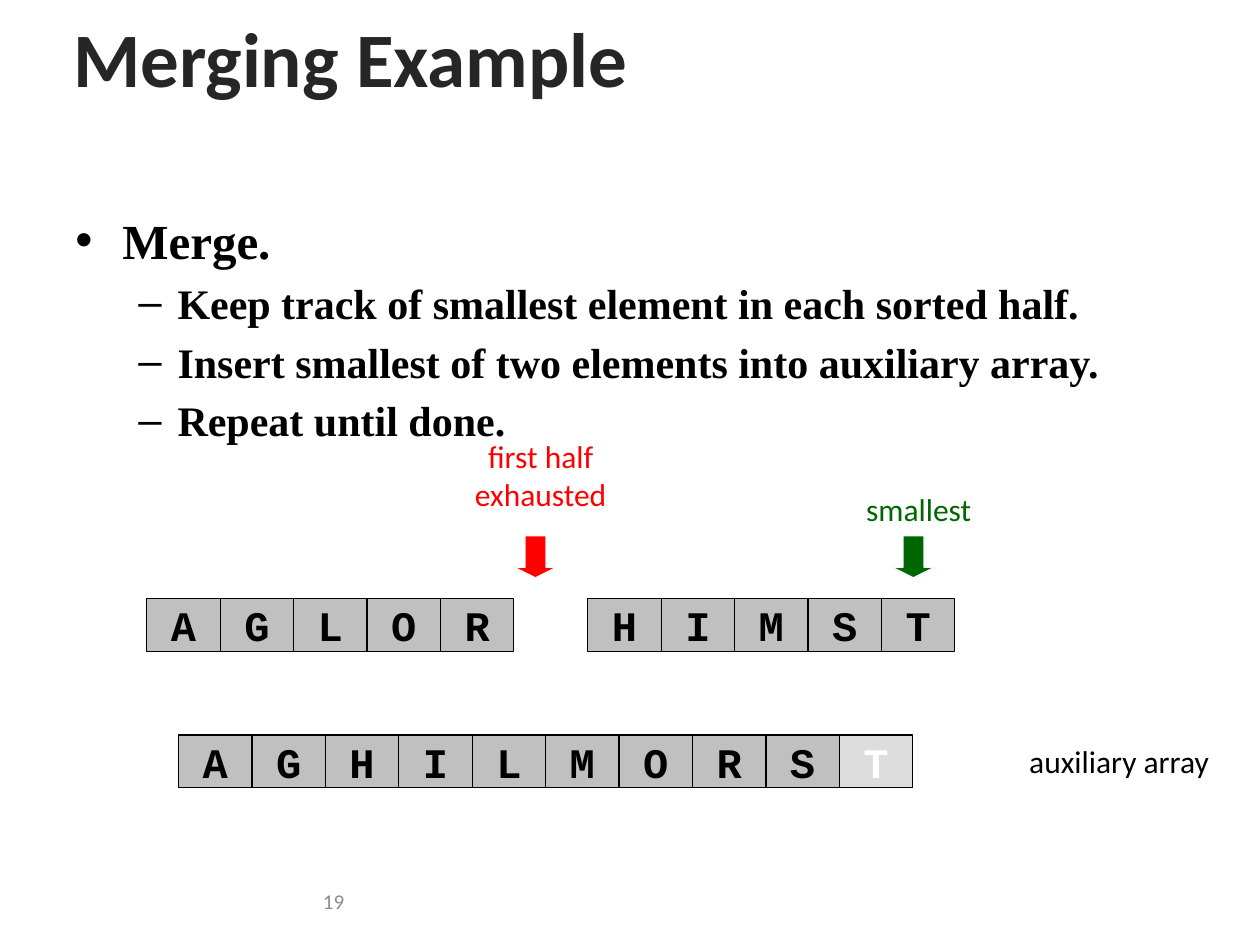
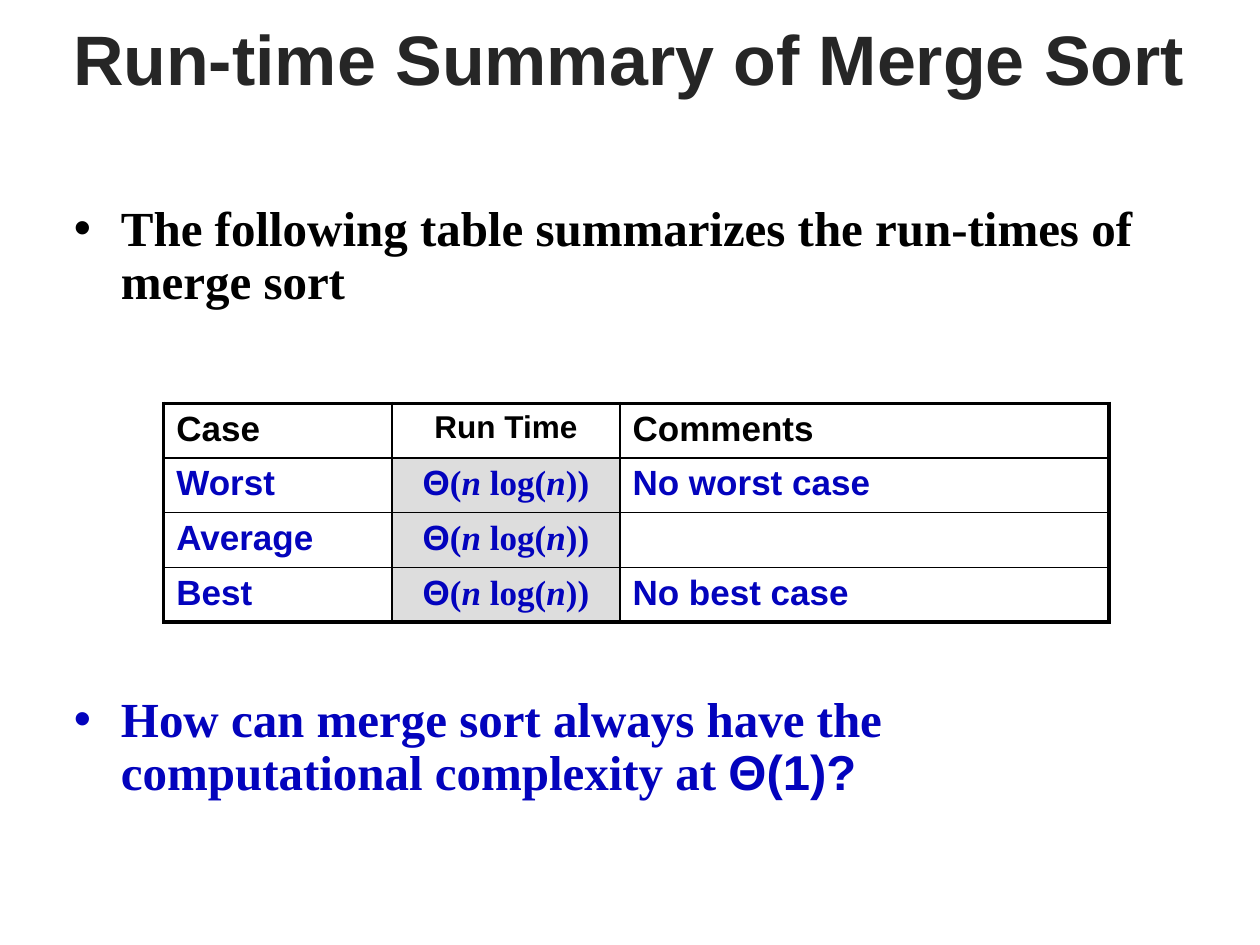
import pptx
import pptx.util
import pptx.dml.color
import pptx.enum.shapes
import pptx.enum.text
import pptx.oxml.ns
from lxml import etree

Cm = pptx.util.Cm
Pt = pptx.util.Pt
RGBColor = pptx.dml.color.RGBColor
PP_ALIGN = pptx.enum.text.PP_ALIGN
MSO_ANCHOR = pptx.enum.text.MSO_ANCHOR
MSO_SHAPE = pptx.enum.shapes.MSO_SHAPE
qn = pptx.oxml.ns.qn

# Colours and fonts
BLACK = RGBColor(0, 0, 0)
WHITE = RGBColor(0xFF, 0xFF, 0xFF)
TITLE_GRAY = RGBColor(0x26, 0x26, 0x26)
NUMBER_GRAY = RGBColor(0x8C, 0x8C, 0x8C)
CELL_GRAY = RGBColor(0xC0, 0xC0, 0xC0)
LIGHT_GRAY = RGBColor(0xDD, 0xDD, 0xDD)
ARROW_EDGE = RGBColor(0xF8, 0xF8, 0xF8)
RED = RGBColor(0xFF, 0, 0)
GREEN = RGBColor(0, 0x66, 0)
BLUE = RGBColor(0x03, 0x03, 0xBD)
SANS, SERIF, MONO, LABEL = "Arial", "Times New Roman", "Courier New", "Calibri"

# Bullet levels: character, text indent, hanging indent (cm), text size
LEVELS = [("•", 0.95, 0.95, 28), ("–", 2.06, 0.79, 24)]

# Array cells (cm)
CELL_W, CELL_H = 1.48, 1.06
HALVES_TOP, AUX_TOP = 12.07, 14.82

# Table borders (pt)
THICK, THIN = 2.25, 1


def format_run(r, font, size, color, bold=False, italic=False):
    r.font.name = font
    r.font.size = Pt(size)
    r.font.color.rgb = color
    r.font.bold = bold
    r.font.italic = italic


def add_run(p, text, *style, **flags):
    r = p.add_run()
    r.text = text
    format_run(r, *style, **flags)


def add_titled_slide(prs, title, font, size):
    s = prs.slides.add_slide(prs.slide_layouts[5])
    sp = s.shapes.title
    sp.left, sp.top, sp.width, sp.height = Cm(1.22), Cm(0.2), Cm(23.34), Cm(1.9)
    tf = sp.text_frame
    tf.text = title
    tf.auto_size = pptx.enum.text.MSO_AUTO_SIZE.NONE
    tf.vertical_anchor = MSO_ANCHOR.MIDDLE
    p = tf.paragraphs[0]
    p.alignment = PP_ALIGN.LEFT
    format_run(p.runs[0], font, size, TITLE_GRAY, bold=True)
    return s


def add_box(s, left, top, width, height):
    tf = s.shapes.add_textbox(Cm(left), Cm(top), Cm(width), Cm(height)).text_frame
    tf.word_wrap = True
    return tf


def add_label(s, text, left, top, width, height, color=BLACK, size=18,
              align=PP_ALIGN.CENTER):
    tf = add_box(s, left, top, width, height)
    tf.vertical_anchor = MSO_ANCHOR.MIDDLE
    tf.text = text
    p = tf.paragraphs[0]
    p.alignment = align
    for r in p.runs:
        format_run(r, LABEL, size, color)


def add_bullets(s, items, left, top, width, height, color=BLACK, spacing=1.0):
    """Items are (level, [(text, font), ...])."""
    tf = add_box(s, left, top, width, height)
    for i, (level, parts) in enumerate(items):
        p = tf.add_paragraph() if i else tf.paragraphs[0]
        char, indent, hanging, size = LEVELS[level]
        p.level = level
        p.line_spacing = spacing
        p.space_before = Pt(size * 0.2)
        pPr = p._p.get_or_add_pPr()
        pPr.set("marL", str(Cm(indent)))
        pPr.set("indent", str(-Cm(hanging)))
        etree.SubElement(pPr, qn("a:buFont")).set("typeface", SANS)
        etree.SubElement(pPr, qn("a:buChar")).set("char", char)
        for text, font in parts:
            add_run(p, text, font, size, color, bold=True)


def add_filled_shape(s, kind, left, top, width, height, fill, line):
    sp = s.shapes.add_shape(kind, Cm(left), Cm(top), Cm(width), Cm(height))
    sp.shadow.inherit = False
    sp.fill.solid()
    sp.fill.fore_color.rgb = fill
    sp.line.color.rgb = line
    sp.line.width = Pt(0.75)
    return sp


def add_pointer(s, left, color):
    add_filled_shape(s, MSO_SHAPE.DOWN_ARROW, left, 10.8, 0.85, 0.85, color, ARROW_EDGE
                     ).adjustments[1] = 0.25


def add_array(s, letters, left, top, last_is_new=False):
    for i, letter in enumerate(letters):
        is_new = last_is_new and i == len(letters) - 1
        sp = add_filled_shape(s, MSO_SHAPE.RECTANGLE, left + i * CELL_W, top, CELL_W, CELL_H,
                              LIGHT_GRAY if is_new else CELL_GRAY, BLACK)
        tf = sp.text_frame
        tf.text = letter
        tf.word_wrap = False
        tf.vertical_anchor = MSO_ANCHOR.MIDDLE
        p = tf.paragraphs[0]
        p.alignment = PP_ALIGN.CENTER
        format_run(p.runs[0], MONO, 24, WHITE if is_new else BLACK, bold=True)


def set_borders(cell, **widths):
    tcPr = cell._tc.get_or_add_tcPr()
    for side in "LRTB":
        ln = etree.SubElement(tcPr, qn("a:ln" + side), w=str(Pt(widths[side])))
        fill = etree.SubElement(ln, qn("a:solidFill"))
        etree.SubElement(fill, qn("a:srgbClr"), val=str(BLACK))


def add_runtime_table(s, rows, left, top, col_widths, row_height):
    """A cell is a list of (text, font, italic) parts."""
    n_rows, n_cols = len(rows), len(col_widths)
    table = s.shapes.add_table(n_rows, n_cols, Cm(left), Cm(top), Cm(sum(col_widths)),
                               Cm(row_height * n_rows)).table
    table.first_row = table.horz_banding = False
    for col, width in zip(table.columns, col_widths):
        col.width = Cm(width)
    for i, row in enumerate(rows):
        table.rows[i].height = Cm(row_height)
        for j, parts in enumerate(row):
            cell = table.cell(i, j)
            set_borders(cell,
                        L=THICK if j == 0 else THIN,
                        R=THICK if j == n_cols - 1 else THIN,
                        T=THICK if i == 0 else THIN,
                        B=THICK if i == n_rows - 1 else THIN)
            is_runtime = j == 1
            if is_runtime and i > 0:
                cell.fill.solid()
                cell.fill.fore_color.rgb = LIGHT_GRAY
            else:
                cell.fill.background()
            p = cell.text_frame.paragraphs[0]
            p.alignment = PP_ALIGN.CENTER if is_runtime else PP_ALIGN.LEFT
            size = 18 if is_runtime and i == 0 else 20
            for text, font, italic in parts:
                add_run(p, text, font, size, BLUE if i else BLACK, bold=True, italic=italic)


def build_merging_example(prs):
    s = add_titled_slide(prs, "Merging Example", LABEL, 44)
    steps = ["Keep track of smallest element in each sorted half.",
             "Insert smallest of two elements into auxiliary array.",
             "Repeat until done."]
    add_bullets(s, [(0, [("Merge.", SERIF)])] + [(1, [(step, SERIF)]) for step in steps],
                1.27, 4.11, 22.86, 7)

    # Sorted halves and their pointers
    add_label(s, "first half\vexhausted", 8.26, 8.69, 5.28, 1.78, RED)
    add_pointer(s, 10.37, RED)
    add_label(s, "smallest", 15.88, 9.74, 5.28, 1.02, GREEN)
    add_pointer(s, 17.99, GREEN)
    add_array(s, "AGLOR", 2.96, HALVES_TOP)
    add_array(s, "HIMST", 11.85, HALVES_TOP)

    # Auxiliary array
    add_array(s, "AGHILMORST", 3.6, AUX_TOP, last_is_new=True)
    add_label(s, "auxiliary array", 20.12, AUX_TOP, 4.88, 1.02)

    # Slide number
    add_label(s, "19", 1.27, 17.65, 5.92, 1.02, NUMBER_GRAY, 12, PP_ALIGN.RIGHT)


def build_runtime_summary(prs):
    s = add_titled_slide(prs, "Run-time Summary of Merge Sort", SANS, 40)
    add_bullets(s, [(0, [("The following table summarizes the run-times of merge sort", SERIF)])],
                1.24, 3.99, 23.01, 2.5, spacing=0.9)

    # Run-time table
    def plain(text):
        return [(text, SANS, False)] if text else []

    n_log_n = [("Θ", SANS, False), ("(", SERIF, False), ("n", SERIF, True),
               (" log(", SERIF, False), ("n", SERIF, True), ("))", SERIF, False)]
    cases = [("Worst", "No worst case"), ("Average", ""), ("Best", "No best case")]
    rows = [[plain(head) for head in ("Case", "Run Time", "Comments")]]
    rows += [[plain(case), n_log_n, plain(comment)] for case, comment in cases]
    add_runtime_table(s, rows, 3.3, 8.13, [4.6, 4.6, 9.86], 1.05)

    # Closing question
    question = [("How can merge sort always have the computational complexity at ", SERIF),
                ("Θ(1)?", SANS)]
    add_bullets(s, [(0, question)], 1.24, 13.89, 23.01, 2.5, BLUE, spacing=0.9)


def main():
    prs = pptx.Presentation()
    prs.slide_width, prs.slide_height = Cm(25.4), Cm(19.05)
    build_merging_example(prs)
    build_runtime_summary(prs)
    prs.save("out.pptx")


if __name__ == "__main__":
    main()
